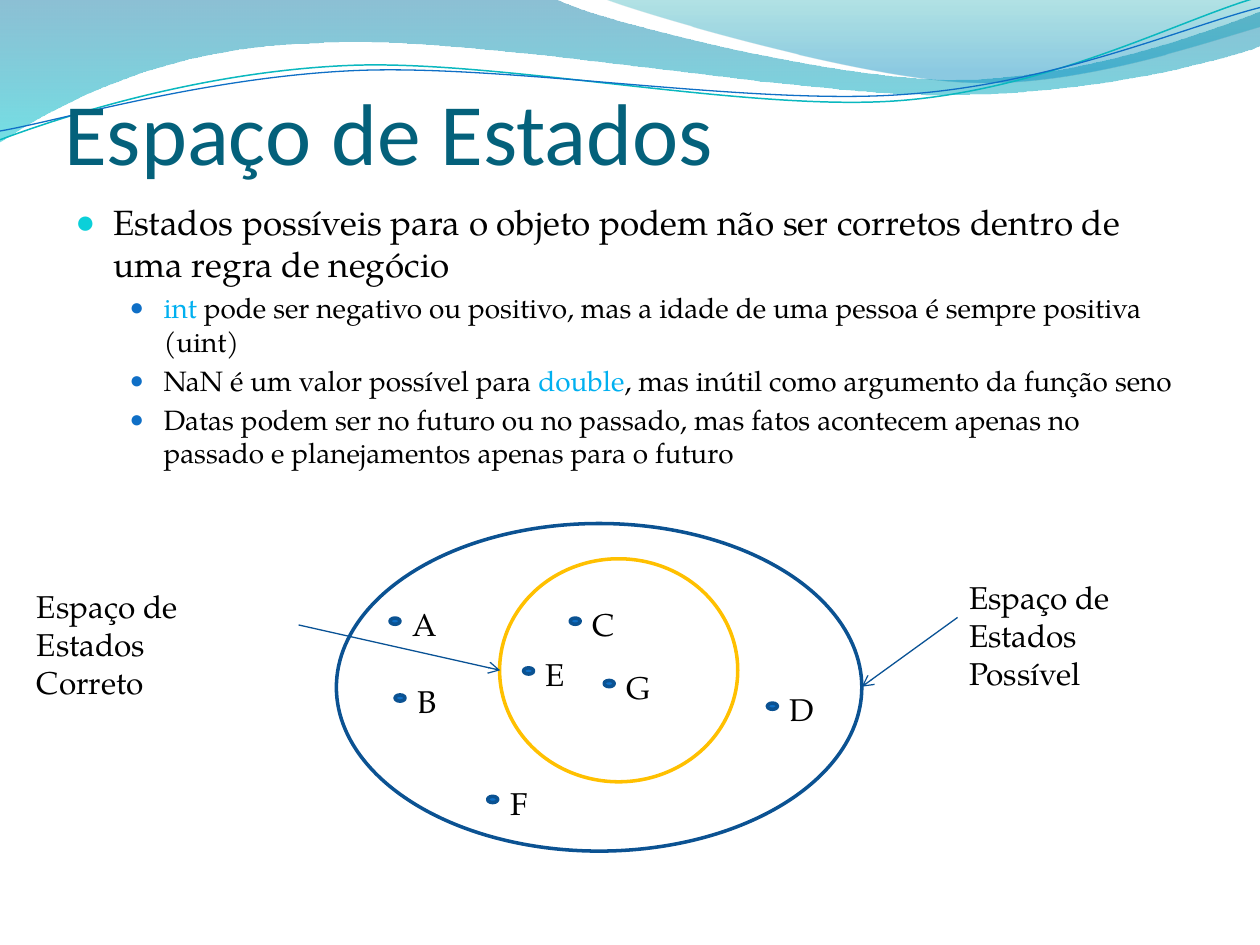
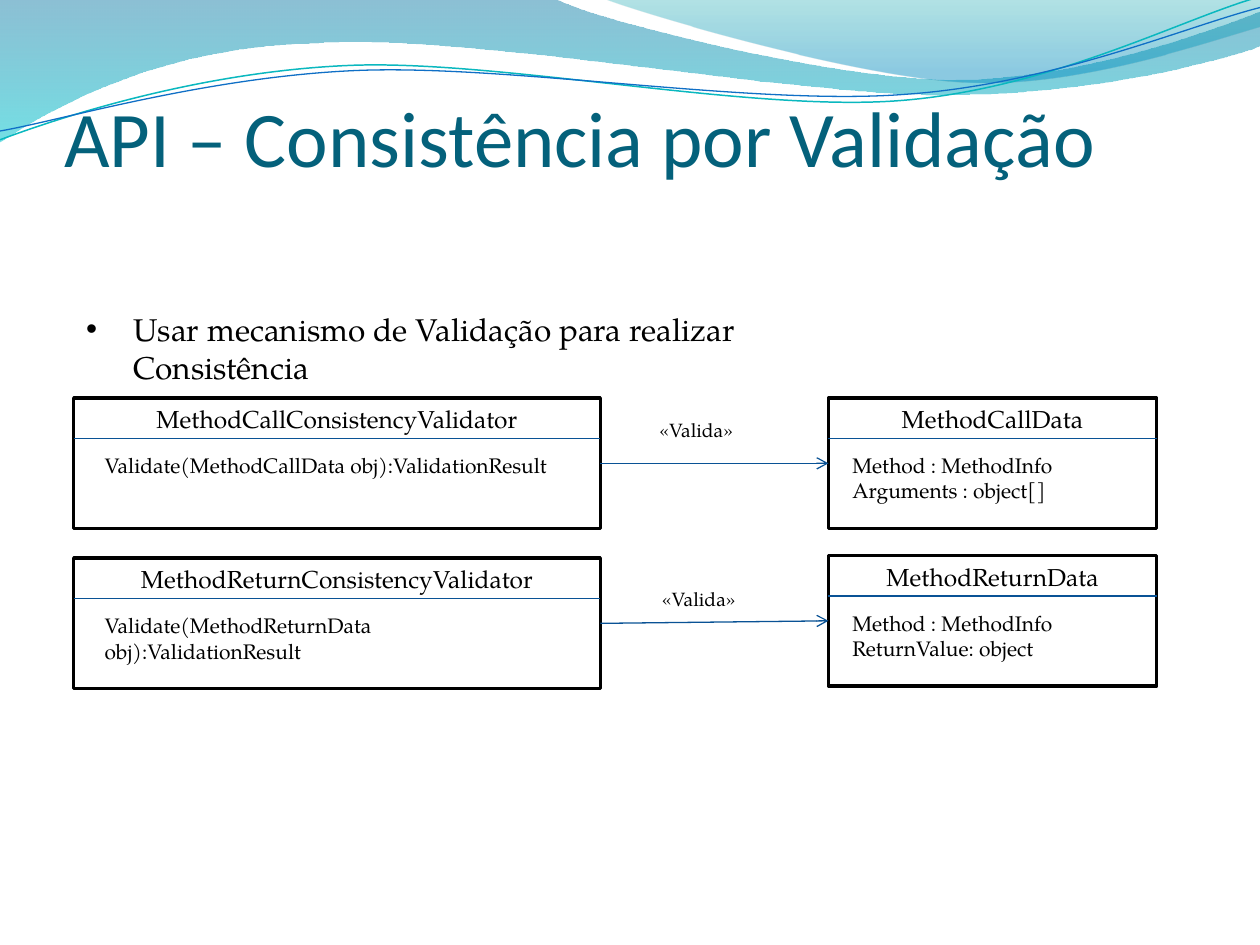
"""Two slides on object state spaces and validation, under a shared wave header."""
from dataclasses import dataclass
from typing import Optional

import pptx
import pptx.dml.color
import pptx.enum.shapes
import pptx.enum.text
import pptx.oxml
import pptx.oxml.ns
import pptx.util
from lxml import etree

# All lengths are cells of a 100 by 75 grid laid over the slide.
COLUMNS, ROWS = 100, 75
SLIDE_WIDTH, SLIDE_HEIGHT = pptx.util.Inches(10), pptx.util.Inches(7.5)

TITLE_FONT, BODY_FONT = "Calibri", "TeX Gyre Pagella"
BLACK, WHITE = "000000", "FFFFFF"
TITLE_COLOR, KEYWORD = "04617B", "00B0F0"
BLUE, CYAN = "0F6FC6", "0BD0D9"
OUTLINE, RULE, GOLD = "0B5292", "095295", "FFC000"

SHAPE = pptx.enum.shapes.MSO_SHAPE
ALIGN = pptx.enum.text.PP_ALIGN
ANCHOR = pptx.enum.text.MSO_ANCHOR


@dataclass
class Bullet:
    """Bullet character with its colour, size in percent and indents."""
    character: str
    color: str
    percent: int
    margin: float
    hanging: float


@dataclass
class Line:
    """One paragraph made of (text, colour) pieces."""
    pieces: list[tuple[str, str]]
    size: float
    bullet: Optional[Bullet] = None
    before: float = 0
    font: str = BODY_FONT


@dataclass
class Wave:
    """Curved outline: start, then 2-value line or 6-value curve steps."""
    start: tuple[float, float]
    steps: list[tuple[float, ...]]
    line: Optional[tuple[str, float]] = None
    stops: tuple[tuple[float, str, int], ...] = ()


@dataclass
class ClassBox:
    """A class diagram box with a name and its members."""
    left: float
    top: float
    width: float
    name: str
    members: list[str]
    height: float = 10.35

    @property
    def middle(self) -> float:
        """Row of the vertical middle."""
        return self.top + self.height / 2


WAVES = [
    Wave((0, 0), [(44, -.1), (47.6, 1.7, 66.4, 6.3, 75.8, 6.3),
                  (85.3, 6.3, 95.8, 2.6, 100, .9), (100.1, 3.6),
                  (98.3, 4.4, 87, 7.6, 74.6, 7.5), (62.2, 7.5, 38.2, 2.8, 25.7, 3.4),
                  (12.9, 3.6, 4.6, 8.3, -.1, 11.3)],
         stops=((0, "0074A1", 45), (1, "00C6CF", 55))),
    Wave((47.9, -.1), [(50.9, 1.1, 68.2, 6.2, 76.9, 6.5),
                       (85.6, 6.9, 96.1, 3.2, 100, 2.1), (100, 0)],
         stops=((0, "00A1A9", 30), (.8, "008BBF", 45))),
    Wave((0, 11.1), [(4.8, 9.3, 15.8, 5.7, 27.7, 5.2), (39.5, 4.7, 59.3, 8.9, 71.3, 8),
                     (83.3, 7.1, 93.8, 1.5, 99.8, -.2)], line=("0AB8BF", .85)),
    Wave((0, 10.4), [(4.7, 9.6, 16.4, 6.1, 28.3, 5.6), (40.3, 5.1, 59.7, 8.4, 71.7, 7.5),
                     (83.6, 6.7, 94.1, 2.1, 100, .6)], line=(BLUE, .75)),
]

MAIN_BULLET = Bullet("●", CYAN, 95, 3, 3)
SUB_BULLET = Bullet("●", BLUE, 85, 7, 2.7)
PLAIN_BULLET = Bullet("•", BLACK, 100, 3.75, 3.75)


def across(columns: float) -> int:
    """Length of a number of grid columns."""
    return round(SLIDE_WIDTH * columns / COLUMNS)


def down(rows: float) -> int:
    """Length of a number of grid rows."""
    return round(SLIDE_HEIGHT * rows / ROWS)


def frame(left: float, top: float, width: float, height: float) -> tuple:
    """Slide lengths of a grid rectangle."""
    return across(left), down(top), across(width), down(height)


def rgb(color: str):
    """Colour object for a hex string."""
    return pptx.dml.color.RGBColor.from_string(color)


def add_child(parent, tag: str, **attributes: str):
    """Append a drawing element with attributes."""
    child = etree.SubElement(parent, pptx.oxml.ns.qn(tag))
    for name, value in attributes.items():
        child.set(name, value)
    return child


def style(shape, fill: Optional[str], line: Optional[tuple[str, float]]) -> None:
    """Set the fill and the (colour, points) outline, without shadow."""
    shape.shadow.inherit = False
    if fill:
        shape.fill.solid()
        shape.fill.fore_color.rgb = rgb(fill)
    else:
        shape.fill.background()
    if line:
        shape.line.color.rgb = rgb(line[0])
        shape.line.width = pptx.util.Pt(line[1])
    else:
        shape.line.fill.background()


def add_bullet(paragraph, bullet: Bullet) -> None:
    """Give a paragraph a hanging bullet."""
    properties = paragraph._p.get_or_add_pPr()
    properties.set("marL", str(across(bullet.margin)))
    properties.set("indent", str(-across(bullet.hanging)))
    add_child(add_child(properties, "a:buClr"), "a:srgbClr", val=bullet.color)
    add_child(properties, "a:buSzPct", val=str(bullet.percent * 1000))
    add_child(properties, "a:buFont", typeface="Arial")
    add_child(properties, "a:buChar", char=bullet.character)


def write(shape, lines: list[Line], align=ALIGN.LEFT, anchor=ANCHOR.TOP) -> None:
    """Fill a shape with formatted paragraphs."""
    text_frame = shape.text_frame
    text_frame.word_wrap = True
    text_frame.vertical_anchor = anchor
    for index, line in enumerate(lines):
        paragraph = text_frame.add_paragraph() if index else text_frame.paragraphs[0]
        paragraph.alignment = align
        paragraph.space_before = pptx.util.Pt(line.before)
        if line.bullet:
            add_bullet(paragraph, line.bullet)
        for text, color in line.pieces:
            run = paragraph.add_run()
            run.text = text
            run.font.size = pptx.util.Pt(line.size)
            run.font.name = line.font
            run.font.color.rgb = rgb(color)


def plain(texts: list[str], size: float) -> list[Line]:
    """Black paragraphs of one size."""
    return [Line([(text, BLACK)], size) for text in texts]


def add_text(slide, place: tuple, lines: list[Line], **options):
    """Add a text box at a grid rectangle."""
    box = slide.shapes.add_textbox(*frame(*place))
    write(box, lines, **options)
    return box


def add_ellipse(slide, place: tuple, color: str, fill: Optional[str] = None) -> None:
    """Add an outlined ellipse."""
    style(slide.shapes.add_shape(SHAPE.OVAL, *frame(*place)), fill, (color, 2))


def add_line(slide, start: tuple, end: tuple, arrow: bool = False) -> None:
    """Add a thin straight line, with an arrowhead at its end if wanted."""
    connector = slide.shapes.add_connector(
        pptx.enum.shapes.MSO_CONNECTOR.STRAIGHT,
        across(start[0]), down(start[1]), across(end[0]), down(end[1]))
    connector.line.color.rgb = rgb(RULE)
    connector.line.width = pptx.util.Pt(.75)
    if arrow:
        add_child(connector.line._get_or_add_ln(), "a:tailEnd", type="arrow")
    add_child(connector.element.spPr, "a:effectLst")


def bend(shape, steps: list[tuple[float, ...]]) -> None:
    """Join the three segments of each curve step into one Bezier curve."""
    segments = iter(list(shape.element.iter(pptx.oxml.ns.qn("a:lnTo"))))
    for step in steps:
        parts = [next(segments) for _ in range(len(step) // 2)]
        if len(parts) == 3:
            curve = etree.Element(pptx.oxml.ns.qn("a:cubicBezTo"))
            parts[0].addprevious(curve)
            for part in parts:
                curve.append(part[0])
                part.getparent().remove(part)


def add_wave(slide, wave: Wave) -> None:
    """Draw a wave as an outline or as a translucent gradient area."""
    points = [(across(step[i]), down(step[i + 1]))
              for step in wave.steps for i in range(0, len(step), 2)]
    builder = slide.shapes.build_freeform(across(wave.start[0]), down(wave.start[1]), scale=1.0)
    builder.add_line_segments(points, close=bool(wave.stops))
    shape = builder.convert_to_shape()
    bend(shape, wave.steps)
    style(shape, None, wave.line)
    if wave.stops:
        shape.fill.gradient()
        shape.fill.gradient_angle = 270
        for stop, (position, color, _) in zip(shape.fill.gradient_stops, wave.stops):
            stop.position = position
            stop.color.rgb = rgb(color)
        colors = shape.element.spPr.iter(pptx.oxml.ns.qn("a:srgbClr"))
        for element, (_, _, opacity) in zip(list(colors), wave.stops):
            add_child(element, "a:alpha", val=str(opacity * 1000))


def add_slide(presentation, title: str, size: float):
    """Add a blank slide with the wave header and a title."""
    slide = presentation.slides.add_slide(presentation.slide_layouts[6])
    for wave in WAVES:
        add_wave(slide, wave)
    box = add_text(slide, (5.1, 2.05, 90, 12.5),
                   [Line([(title, TITLE_COLOR)], size, font=TITLE_FONT)], anchor=ANCHOR.BOTTOM)
    text_frame = box.text_frame
    text_frame.margin_left = text_frame.margin_right = text_frame.margin_bottom = 0
    return slide


def add_class_box(slide, box: ClassBox) -> None:
    """Draw a class box: name, divider and members."""
    shape = slide.shapes.add_shape(
        SHAPE.RECTANGLE, *frame(box.left, box.top, box.width, box.height))
    style(shape, WHITE, (BLACK, 2))
    write(shape, plain([box.name], 14), align=ALIGN.CENTER)
    divider = box.top + 3.2
    add_line(slide, (box.left, divider), (box.left + box.width, divider))
    inset = box.width * .035
    add_text(slide, (box.left + inset, box.top + 3.85, box.width - 2 * inset, 5),
             plain(box.members, 12))


def build_state_space(presentation) -> None:
    """Slide on possible and correct states."""
    slide = add_slide(presentation, "Espaço de Estados", 50)
    details = [
        [("int ", KEYWORD), ("pode ser negativo ou positivo, mas a idade de uma pessoa "
                             "é sempre positiva (uint)", BLACK)],
        [("NaN é um valor possível para ", BLACK), ("double", KEYWORD),
         (", mas inútil como argumento da função seno ", BLACK)],
        [("Datas podem ser no futuro ou no passado, mas fatos acontecem apenas no "
          "passado e planejamentos apenas para o futuro", BLACK)],
    ]
    main = Line([("Estados possíveis para o objeto podem não ser corretos dentro de "
                  "uma regra de negócio ", BLACK)], 20, MAIN_BULLET, 4)
    add_text(slide, (5, 15.45, 90, 53.7),
             [main] + [Line(pieces, 16, SUB_BULLET, 3.2) for pieces in details])
    add_ellipse(slide, (26.7, 41.55, 41.7, 26), OUTLINE)
    add_ellipse(slide, (39.65, 44.35, 18.9, 17.7), GOLD)
    states = {"A": (30.95, 49.05), "B": (31.35, 55.15), "C": (45.25, 49.05), "G": (47.95, 54),
              "E": (41.55, 53), "D": (60.9, 55.8), "F": (38.7, 63.2)}
    for name, (left, top) in states.items():
        add_ellipse(slide, (left, top, .8, .5), OUTLINE, BLUE)
        add_text(slide, (left + .8, top - 1.5, 3.7, 4), plain([name], 18))
    for left, top, kind in ((1.95, 46.1, "Correto"), (75.95, 45.4, "Possível")):
        add_text(slide, (left, top, 21.8, 7.1), plain(["Espaço de Estados", kind], 18))
    add_line(slide, (76, 49), (68.4, 54.5), arrow=True)
    add_line(slide, (23.7, 49.6), (39.7, 53.2), arrow=True)


def build_validation(presentation) -> None:
    """Slide on validators and the data they check."""
    slide = add_slide(presentation, "API – Consistência por Validação", 45)
    pairs = [("Call", "Arguments : object[]", 31.6, 31.6, (51.35, 32.7)),
             ("Return", "ReturnValue: object", 44.3, 44.1, (51.55, 46.1))]
    for kind, member, validator_top, data_top, label in pairs:
        validator = ClassBox(5.85, validator_top, 41.8, f"Method{kind}ConsistencyValidator",
                             [f"Validate(Method{kind}Data obj):ValidationResult"])
        data = ClassBox(65.75, data_top, 26.05, f"Method{kind}Data",
                        ["Method : MethodInfo", member])
        add_class_box(slide, validator)
        add_class_box(slide, data)
        add_line(slide, (validator.left + validator.width, validator.middle),
                 (data.left, data.middle), arrow=True)
        add_text(slide, (*label, 7.9, 2.9), plain(["«Valida»"], 11))
    add_text(slide, (5.85, 24.1, 65.9, 4), [Line(
        [("Usar mecanismo de Validação para realizar Consistência", BLACK)], 18, PLAIN_BULLET)])


presentation = pptx.Presentation()
presentation.slide_width, presentation.slide_height = SLIDE_WIDTH, SLIDE_HEIGHT
build_state_space(presentation)
build_validation(presentation)
presentation.save("out.pptx")
